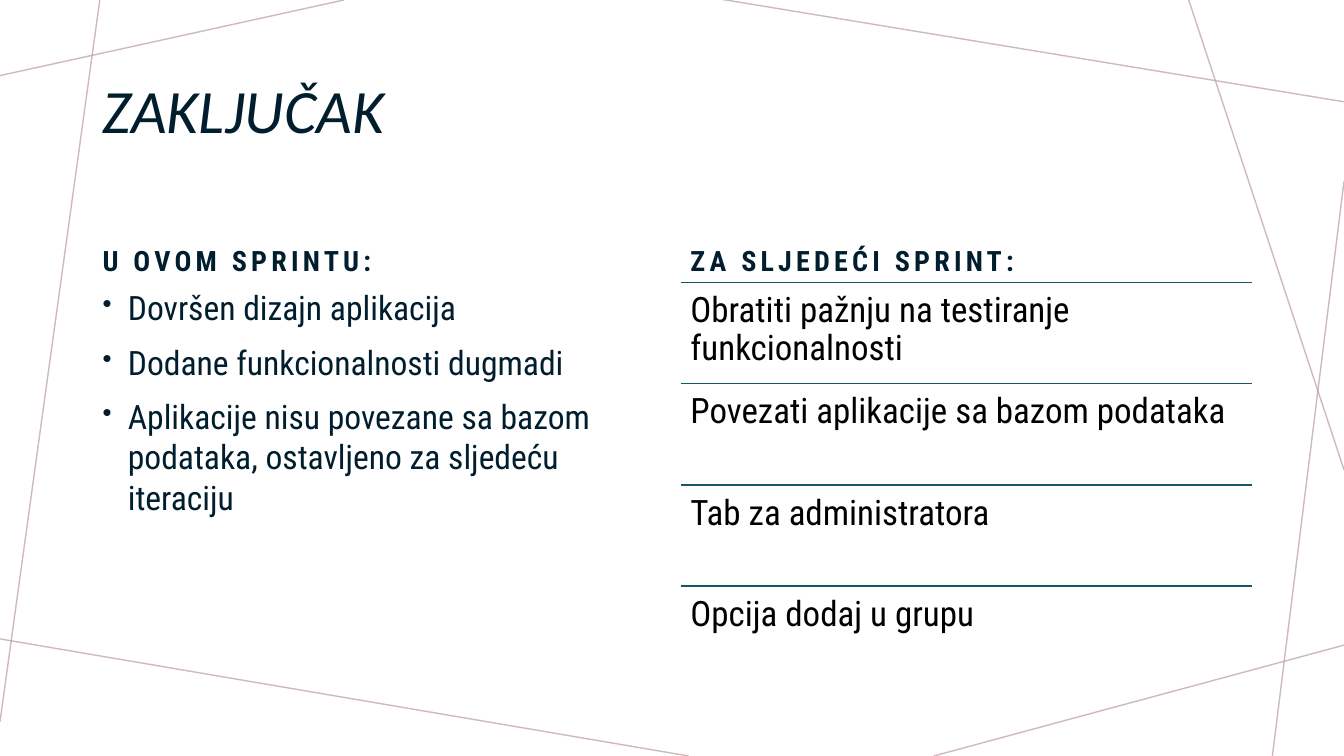
from dataclasses import dataclass

from lxml.etree import SubElement
from pptx import Presentation
from pptx.dml.color import RGBColor
from pptx.enum.shapes import MSO_CONNECTOR as Link
from pptx.enum.text import MSO_ANCHOR as Anchor
from pptx.oxml.ns import qn
from pptx.util import Inches, Pt

NAVY, TEAL, ROSE, BLACK = "001E2E", "155767", "BA9CA0", "000000"
BODY = "Roboto Condensed"
LEFT, RIGHT, WIDE = 0.92, 6.75, 5.67
TOP, STEP = 2.8, 1.005


@dataclass
class Line:
    x1: float
    y1: float
    x2: float
    y2: float
    color: str = ROSE
    alpha: int = 70


@dataclass
class Text:
    x: float
    y: float
    w: float
    h: float
    lines: list[str]
    size: int
    color: str = NAVY
    face: str = BODY
    anchor: Anchor = Anchor.TOP
    bold: bool = False
    italic: bool = False
    track: int = 0
    lead: float = 1.0
    before: int = 0
    bullet: bool = False
    inset: float = 0.05


def paint(color: str) -> RGBColor:
    return RGBColor.from_string(color)


def draw(item: Line) -> None:
    ends = (Inches(v) for v in (item.x1, item.y1, item.x2, item.y2))
    link = slide.shapes.add_connector(Link.STRAIGHT, *ends)
    link.line.width = Pt(1)
    link.line.color.rgb = paint(item.color)
    if item.alpha < 100:
        tint = next(link.line._ln.iter(qn("a:srgbClr")))
        SubElement(tint, qn("a:alpha"), val=str(item.alpha * 1000))
    SubElement(link._element.spPr, qn("a:effectLst"))


def write(item: Text) -> None:
    area = (Inches(v) for v in (item.x, item.y, item.w, item.h))
    frame = slide.shapes.add_textbox(*area).text_frame
    frame.word_wrap = True
    frame.vertical_anchor = item.anchor
    frame.margin_left = frame.margin_right = Inches(0.1)
    frame.margin_top = frame.margin_bottom = Inches(item.inset)
    frame.text = "\n".join(item.lines)
    for para in frame.paragraphs:
        para.line_spacing = item.lead
        para.space_before = Pt(item.before)
        if item.bullet:
            props = para._p.get_or_add_pPr()
            props.set("marL", str(Inches(0.25)))
            props.set("indent", str(Inches(-0.25)))
            SubElement(props, qn("a:buSzPct"), val="80000")
            SubElement(props, qn("a:buChar"), char="•")
        font = para.font
        font.name, font.size = item.face, Pt(item.size)
        font.bold, font.italic = item.bold, item.italic
        font.color.rgb = paint(item.color)
        if item.track:
            font._rPr.set("spc", str(item.track * 100))


deck = Presentation()
deck.slide_width, deck.slide_height = Inches(13.33), Inches(7.5)
slide = deck.slides.add_slide(deck.slide_layouts[6])

rays = [
    Line(3.41, 0, 0, 0.75),
    Line(0.99, 0, 0, 7.16),
    Line(6.83, 7.5, -0.05, 6.33),
    Line(13.33, 6.4, 9.26, 7.5),
    Line(13.33, 1.8, 12.62, 7.5),
    Line(13.33, 4.66, 11.79, 0),
    Line(13.33, 1.01, 7.14, -0.01),
]
for ray in rays:
    draw(ray)

write(Text(LEFT, 0.4, 11.5, 1.45, ["ZAKLJUČAK"], 44, face="Calibri",
           anchor=Anchor.MIDDLE, italic=True, lead=0.9))

for x, head in ((LEFT, "U OVOM SPRINTU:"), (RIGHT, "ZA SLJEDEĆI SPRINT:")):
    write(Text(x, 1.9, WIDE, 0.9, [head], 20, anchor=Anchor.BOTTOM,
               bold=True, track=3, before=10))

done = [
    "Dovršen dizajn aplikacija",
    "Dodane funkcionalnosti dugmadi",
    "Aplikacije nisu povezane sa bazom podataka, "
    "ostavljeno za sljedeću iteraciju",
]
write(Text(LEFT, TOP, 5.64, 4.03, done, 24, before=10, bullet=True))

plans = [
    "Obratiti pažnju na testiranje funkcionalnosti",
    "Povezati aplikacije sa bazom podataka",
    "Tab za administratora",
    "Opcija dodaj u grupu",
]
for row, plan in enumerate(plans):
    y = TOP + row * STEP
    draw(Line(RIGHT, y, RIGHT + WIDE, y, TEAL, 100))
    write(Text(RIGHT, y, WIDE, STEP, [plan], 25, BLACK, lead=0.9, inset=0.1))

deck.save("out.pptx")
